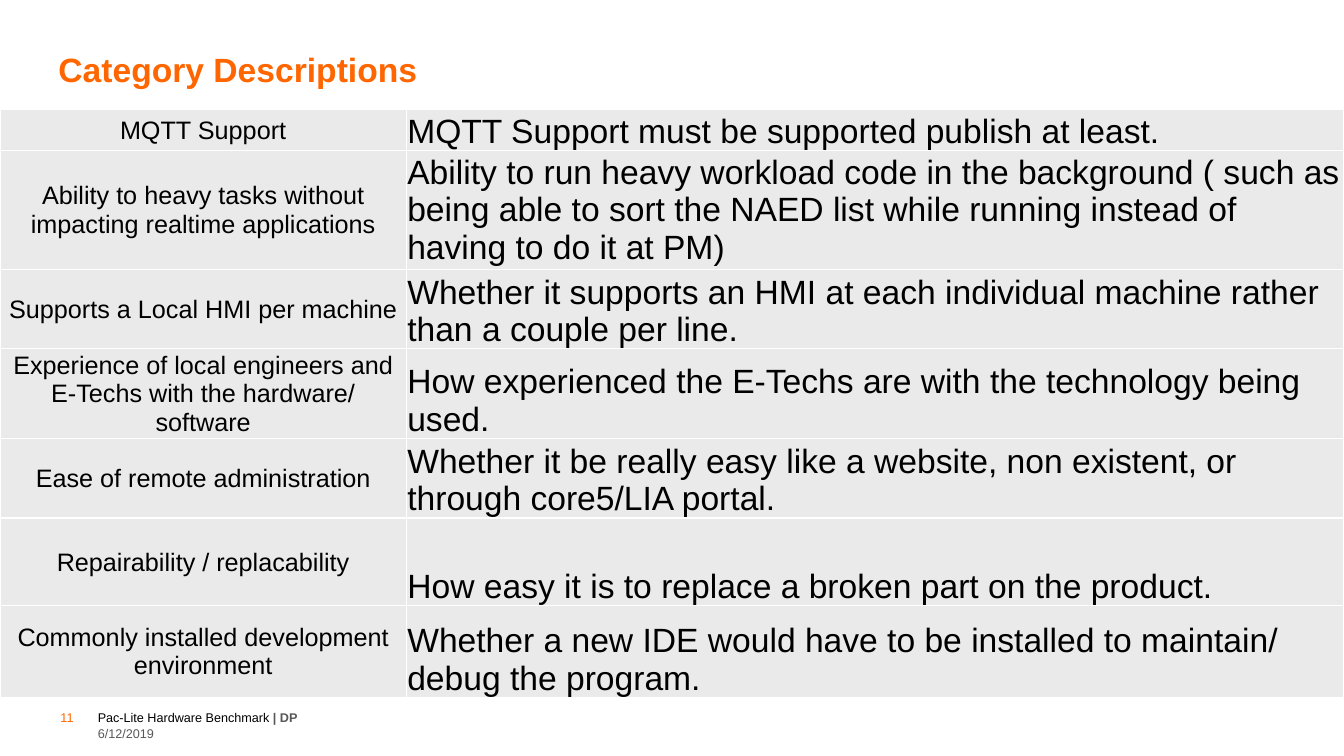
from lxml import etree
from pptx import Presentation
from pptx.dml.color import RGBColor
from pptx.enum.shapes import MSO_CONNECTOR as CONNECTOR
from pptx.enum.text import MSO_ANCHOR as ANCHOR, MSO_AUTO_SIZE as AUTO_SIZE, PP_ALIGN as ALIGN
from pptx.oxml.ns import qn
from pptx.util import Inches, Pt

ORANGE, GREY, BLACK, WHITE, CELL = "FF6600", "58585A", "000000", "FFFFFF", "EAEAEA"
LEFT_COL, WIDTHS = 0.97, (4.03, 9.3)
CATEGORIES = [  # row height, category, description
    (0.4, "MQTT Support", "MQTT Support must be supported publish at least."),
    (1.18, "Ability to heavy tasks without impacting realtime applications",
     "Ability to run heavy workload code in the background ( such as being able to sort "
     "the NAED list while running instead of having to do it at PM)"),
    (0.79, "Supports a Local HMI per machine",
     "Whether it supports an HMI at each individual machine rather than a couple per line."),
    (0.89, "Experience of local engineers and E-Techs with the hardware/ software",
     "How experienced the E-Techs are with the technology being used."),
    (0.79, "Ease of remote administration",
     "Whether it be really easy like a website, non existent, or through core5/LIA portal."),
    (0.87, "Repairability / replacability",
     "How easy it is to replace a broken part on the product."),
    (0.91, "Commonly installed development environment",
     "Whether a new IDE would have to be installed to maintain/ debug the program."),
]


def style(r, size, color, bold=False):
    r.font.name, r.font.size, r.font.bold = "Arial", Pt(size), bold
    r.font.color.rgb = RGBColor.from_string(color)


def place(sp, left, top, width, height, anchor):
    """Position a text shape and strip its insets."""
    sp.left, sp.top, sp.width, sp.height = map(Inches, (left, top, width, height))
    tf = sp.text_frame
    tf.margin_left = tf.margin_top = tf.margin_right = tf.margin_bottom = 0
    tf.word_wrap, tf.auto_size, tf.vertical_anchor = True, AUTO_SIZE.NONE, anchor
    return tf.paragraphs[0]


prs = Presentation()
prs.slide_width, prs.slide_height = Inches(13.33), Inches(7.5)
slide = prs.slides.add_slide(prs.slide_layouts[5])

# Header and footer rules
for y, color in ((1.37, ORANGE), (6.89, GREY)):
    rule = slide.shapes.add_connector(CONNECTOR.STRAIGHT, Inches(0.6), Inches(y),
                                      Inches(12.73), Inches(y))
    rule.line.width = Pt(1.5)
    rule.line.color.rgb = RGBColor.from_string(color)
    etree.SubElement(rule._element.spPr, qn("a:effectLst"))

# Title
title = slide.shapes.title
title.text_frame.text = "Category Descriptions"
p = place(title, 0.58, 0.43, 11.76, 0.46, ANCHOR.BOTTOM)
p.alignment, p.line_spacing = ALIGN.LEFT, 1.1
style(p.runs[0], 24, ORANGE, True)

# Category table
frame = slide.shapes.add_table(len(CATEGORIES), 2, 0, Inches(1.09), prs.slide_width,
                               Inches(sum(row[0] for row in CATEGORIES)))
table = frame.table
table.first_row = table.horz_banding = False
for column, width in zip(table.columns, WIDTHS):
    column.width = Inches(width)

for i, (height, *texts) in enumerate(CATEGORIES):
    table.rows[i].height = Inches(height)
    for j, text in enumerate(texts):
        cell = table.cell(i, j)
        cell.margin_left = cell.margin_top = cell.margin_right = Inches(0.01)
        cell.margin_bottom = 0
        middle = j == 0 or i == 1
        cell.vertical_anchor = ANCHOR.MIDDLE if middle else ANCHOR.BOTTOM
        cell.text_frame.text = text
        p = cell.text_frame.paragraphs[0]
        p.alignment = (ALIGN.CENTER, ALIGN.LEFT)[j]
        style(p.runs[0], (18, 24)[j], BLACK)
        tcPr = cell._tc.get_or_add_tcPr()
        for side in ("lnL", "lnR", "lnT", "lnB"):
            ln = etree.SubElement(tcPr, qn(f"a:{side}"), w=str(Pt(1)))
            fill = etree.SubElement(ln, qn("a:solidFill"))
            etree.SubElement(fill, qn("a:srgbClr"), val=WHITE)
        cell.fill.solid()
        cell.fill.fore_color.rgb = RGBColor.from_string(CELL)

# Footer: left, top, width, anchor, runs
FOOTER = [
    (LEFT_COL, 7.01, 9.16, ANCHOR.BOTTOM,
     [("Pac-Lite Hardware Benchmark ", BLACK, False), ("| DP", GREY, True)]),
    (LEFT_COL, 7.2, 9.16, ANCHOR.TOP, [("6/12/2019", GREY, False)]),
    (0.6, 7.01, 0.32, ANCHOR.BOTTOM, [("11", ORANGE, False)]),
]
for left, top, width, anchor, runs in FOOTER:
    p = place(slide.shapes.add_textbox(0, 0, 0, 0), left, top, width, 0.18, anchor)
    for text, color, bold in runs:
        r = p.add_run()
        r.text = text
        style(r, 9, color, bold)

prs.save("out.pptx")
